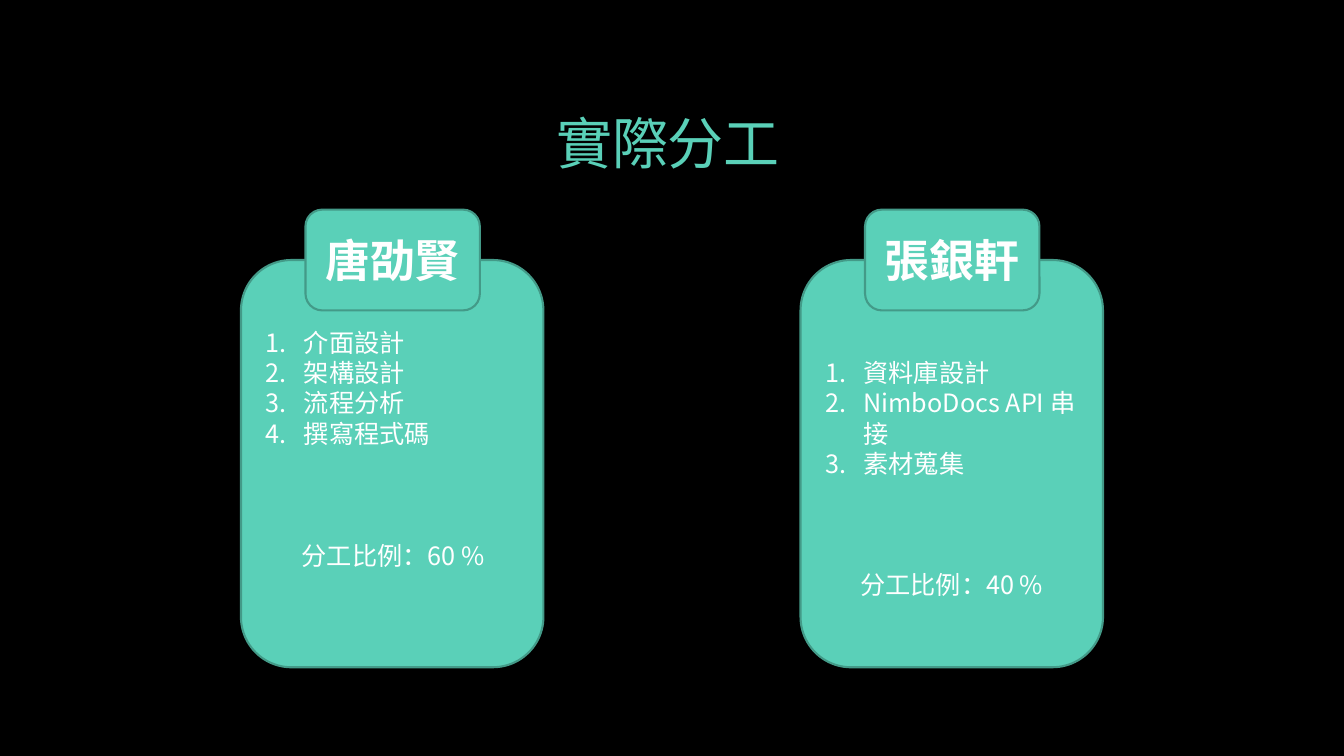
import pptx
import pptx.util
import pptx.dml.color
import pptx.enum.shapes
import pptx.enum.text
import pptx.oxml.ns
import lxml.etree

Inches = pptx.util.Inches
Pt = pptx.util.Pt
ALIGN = pptx.enum.text.PP_ALIGN
ANCHOR = pptx.enum.text.MSO_ANCHOR
SANS = "Noto Sans CJK SC"


def paint(code):
    return pptx.dml.color.RGBColor.from_string(code)


def child(node, tag, **attrs):
    return lxml.etree.SubElement(node, pptx.oxml.ns.qn(tag), attrs)


def write(frame, text, first=False, size=18, color="FFFFFF", face=SANS,
          bold=False, align=ALIGN.CENTER, number=False, pitch=None, before=0):
    para = frame.paragraphs[0] if first else frame.add_paragraph()
    para.alignment = align
    if pitch:
        para.line_spacing = Pt(pitch)
    if before:
        para.space_before = Pt(before)
    if number:
        props = para._p.get_or_add_pPr()
        props.set("marL", str(Inches(0.38)))
        props.set("indent", str(-Inches(0.38)))
        child(props, "a:buFont", typeface="+mj-lt")
        child(props, "a:buAutoNum", type="arabicPeriod")
    run = para.add_run()
    run.text = text
    font = run.font
    font.size, font.bold, font.name = Pt(size), bold, face
    font.color.rgb = paint(color)
    props = run._r.get_or_add_rPr()
    props.set("lang", "en-US")
    props.set("altLang", "zh-TW")
    child(props, "a:ea", typeface=face)


class Deck:
    """Holds the slide and the style of its elements."""

    mint, edge = "5AD0B8", "439A88"
    pitch = 21.6

    def __init__(self):
        self.show = pptx.Presentation()
        self.show.slide_width = Inches(13.33)
        self.show.slide_height = Inches(7.5)
        self.slide = self.show.slides.add_slide(self.show.slide_layouts[6])
        fill = self.slide.background.fill
        fill.solid()
        fill.fore_color.rgb = paint("000000")

    def label(self, text, left, top, width, height, anchor=ANCHOR.TOP, **style):
        box = self.slide.shapes.add_textbox(
            Inches(left), Inches(top), Inches(width), Inches(height))
        box.text_frame.word_wrap = True
        box.text_frame.vertical_anchor = anchor
        write(box.text_frame, text, first=True, **style)

    def panel(self, group, left, top, width, height):
        shape = group.shapes.add_shape(
            pptx.enum.shapes.MSO_SHAPE.ROUNDED_RECTANGLE,
            Inches(left), Inches(top), Inches(width), Inches(height))
        shape.shadow.inherit = False
        shape.fill.solid()
        shape.fill.fore_color.rgb = paint(self.mint)
        shape.line.color.rgb = paint(self.edge)
        shape.line.width = Pt(1.5)
        frame = shape.text_frame
        frame.word_wrap = True
        frame.vertical_anchor = ANCHOR.MIDDLE
        return frame

    def card(self, left, name, tasks, inset, share=None):
        group = self.slide.shapes.add_group_shape()
        body = self.panel(group, left, 2.58, 3, 4.04)
        body.vertical_anchor = ANCHOR.TOP
        body.margin_top = Inches(inset)
        for index, task in enumerate(tasks):
            write(body, task, first=index == 0, align=ALIGN.LEFT,
                  number=True, pitch=self.pitch)
        if share:
            write(body, share, pitch=self.pitch, before=3 * self.pitch)
        tab = self.panel(group, left + 0.64, 2.08, 1.73, 1)
        write(tab, name, first=True, size=32, bold=True)


def main():
    deck = Deck()
    deck.label("實際分工", 5.38, 0.37, 2.49, 2.08, anchor=ANCHOR.MIDDLE,
               size=40, color=deck.mint, face="Noto Sans CJK TC")
    deck.card(2.39, "唐劭賢",
              ["介面設計", "架構設計", "流程分析", "撰寫程式碼"], 0.52)
    deck.card(7.94, "張銀軒",
              ["資料庫設計", "NimboDocs API 串接", "素材蒐集"], 0.82,
              share="分工比例：40 %")
    deck.label("分工比例：60 %", 2.53, 5.31, 2.74, 0.4, pitch=deck.pitch)
    deck.show.save("out.pptx")


if __name__ == "__main__":
    main()
